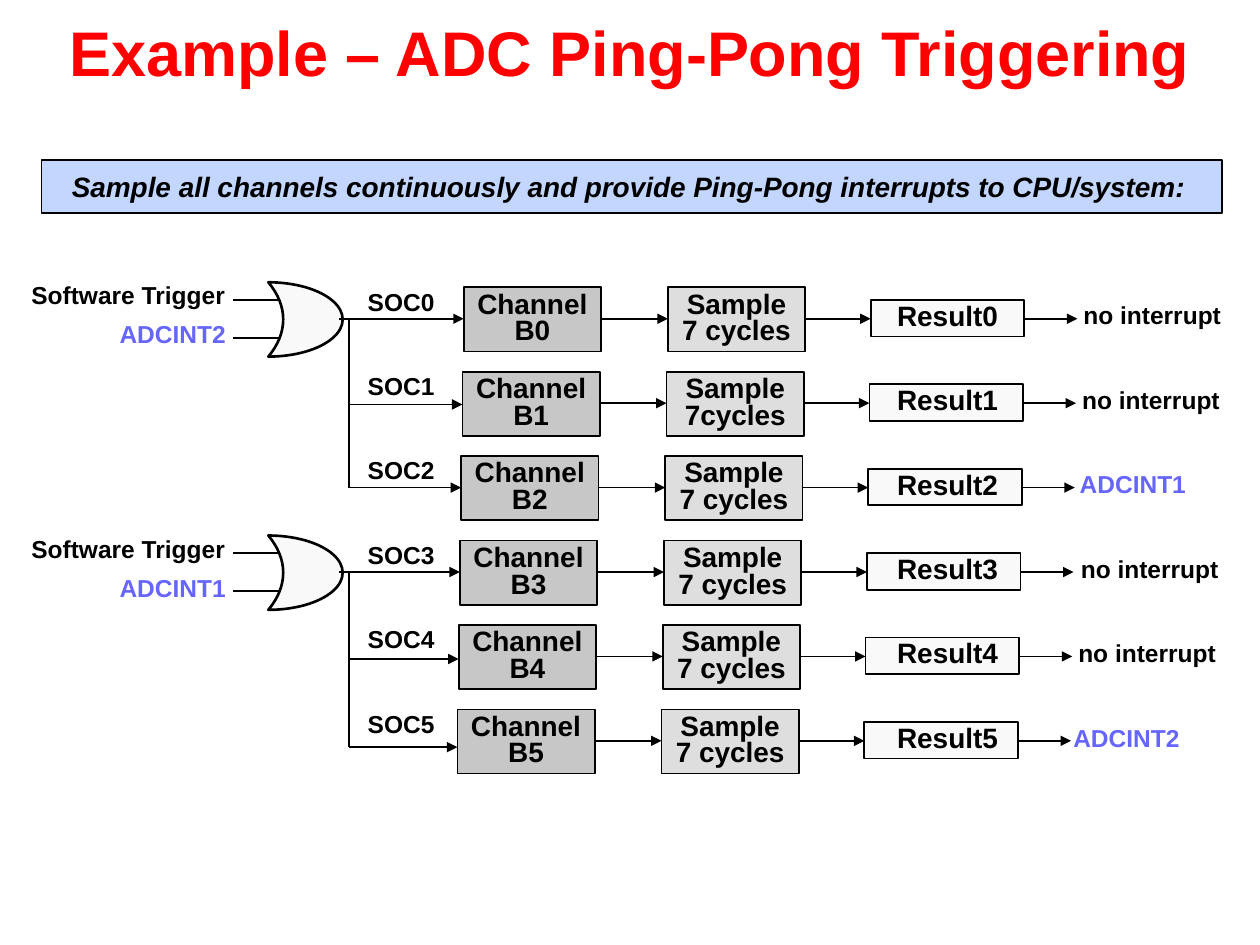
from lxml import etree
from pptx import Presentation
from pptx.dml.color import RGBColor
from pptx.enum.shapes import MSO_CONNECTOR, MSO_SHAPE
from pptx.enum.text import MSO_ANCHOR, MSO_AUTO_SIZE, PP_ALIGN
from pptx.oxml.ns import qn
from pptx.util import Inches, Pt

RED = RGBColor(0xFF, 0x00, 0x00)
BLACK = RGBColor(0x00, 0x00, 0x00)
VIOLET = RGBColor(0x66, 0x66, 0xFF)
BLUE = RGBColor(0xC2, 0xD6, 0xFF)
GRAY = RGBColor(0xC7, 0xC7, 0xC7)
SILVER = RGBColor(0xDE, 0xDE, 0xDE)
PALE = RGBColor(0xF9, 0xF9, 0xF9)
RECT, MOON = MSO_SHAPE.RECTANGLE, MSO_SHAPE.MOON
STRAIGHT = MSO_CONNECTOR.STRAIGHT
LEFT, CENTER = PP_ALIGN.LEFT, PP_ALIGN.CENTER
TOP, MIDDLE = MSO_ANCHOR.TOP, MSO_ANCHOR.MIDDLE
FIXED = MSO_AUTO_SIZE.NONE

FIRST = 2.53
STEP = 0.67
SHIFT = 0.01
ROWS = [
    ("7 cycles", "no interrupt", 8.5, 2.53),
    ("7cycles", "no interrupt", 8.49, 3.21),
    ("7 cycles", "ADCINT1", 8.47, 3.87),
    ("7 cycles", "no interrupt", 8.48, 4.54),
    ("7 cycles", "no interrupt", 8.46, 5.23),
    ("7 cycles", "ADCINT2", 8.42, 5.93),
]
GATES = [(2.53, 3.87, "ADCINT2"), (4.54, 5.93, "ADCINT1")]


class Deck:
    font = "Arial"

    def __init__(self, slide):
        self.slide = slide
        self.shapes = slide.shapes

    def text(self, shape, lines, size, color=BLACK, align=LEFT,
             anchor=TOP, space=0.8, italic=False):
        frame = shape.text_frame
        frame.auto_size = FIXED
        frame.word_wrap = False
        frame.vertical_anchor = anchor
        frame.text = "\n".join(lines)
        for para in frame.paragraphs:
            para.alignment = align
            para.line_spacing = space
            para.font.name = self.font
            para.font.size = Pt(size)
            para.font.bold = True
            para.font.italic = italic
            para.font.color.rgb = color

    def title(self, text):
        shape = self.shapes.title
        shape.left, shape.top = Inches(0), Inches(0)
        shape.width, shape.height = Inches(10), Inches(0.81)
        self.text(shape, [text], 36, RED, CENTER, MIDDLE, 1.0)

    def label(self, x, y, width, text, color=BLACK):
        shape = self.shapes.add_textbox(
            Inches(x), Inches(y), Inches(width), Inches(0.29))
        self.text(shape, [text], 14, color)

    def shape(self, kind, x, y, width, height, fill, weight=1):
        shape = self.shapes.add_shape(
            kind, Inches(x), Inches(y), Inches(width), Inches(height))
        shape.shadow.inherit = False
        shape.fill.solid()
        shape.fill.fore_color.rgb = fill
        shape.line.color.rgb = BLACK
        shape.line.width = Pt(weight)
        return shape

    def box(self, x, y, width, height, fill, lines, inset=0.0, **style):
        shape = self.shape(RECT, x, y, width, height, fill)
        frame = shape.text_frame
        frame.margin_left = Inches(inset)
        frame.margin_top = frame.margin_right = frame.margin_bottom = 0
        self.text(shape, lines, 16, anchor=MIDDLE, **style)

    def gate(self, x, y):
        shape = self.shape(MOON, x, y, 0.59, 0.59, PALE, 1.5)
        shape.adjustments[0] = 0.8
        shape.element.spPr.get_or_add_xfrm().set("flipH", "1")

    def line(self, x1, y1, x2, y2, arrow=False):
        link = self.shapes.add_connector(
            STRAIGHT, Inches(x1), Inches(y1), Inches(x2), Inches(y2))
        link.line.color.rgb = BLACK
        link.line.width = Pt(1)
        props = link.element.spPr
        if arrow:
            etree.SubElement(props.find(qn("a:ln")), qn("a:tailEnd"),
                             type="triangle")
        etree.SubElement(props, qn("a:effectLst"))


def main():
    prs = Presentation()
    prs.slide_width, prs.slide_height = Inches(10), Inches(7.5)
    deck = Deck(prs.slides.add_slide(prs.slide_layouts[5]))
    deck.title("Example – ADC Ping-Pong Triggering")
    deck.box(0.33, 1.27, 9.37, 0.42, BLUE,
             ["Sample all channels continuously and provide "
              "Ping-Pong interrupts to CPU/system:"],
             inset=0.24, italic=True, space=1.0)

    for y, end, source in GATES:
        deck.gate(2.13, y - 0.29)
        deck.label(0.15, y - 0.31, 1.75, "Software Trigger")
        deck.label(0.85, y, 1.05, source, VIOLET)
        for offset in (-0.15, 0.15):
            deck.line(2.22, y + offset, 1.85, y + offset)
        deck.line(2.77, end, 2.77, y)

    starts = [gate[0] for gate in GATES]
    for i, (cycles, result, out, feed) in enumerate(ROWS):
        y = FIRST + STEP * i
        dx = -SHIFT * i
        deck.line(2.69 if feed in starts else 2.77, feed,
                  3.68 + dx, feed, True)
        deck.label(2.82, y - 0.26, 0.74, f"SOC{i}")
        deck.box(3.68 + dx, y - 0.25, 1.09, 0.51, GRAY,
                 ["Channel", f"B{i}"], align=CENTER)
        deck.line(4.77 + dx, y, 5.3 + dx, y, True)
        deck.box(5.3 + dx, y - 0.25, 1.09, 0.51, SILVER,
                 ["Sample", cycles], align=CENTER)
        deck.line(6.39 + dx, y, 6.91 + dx, y, True)
        deck.box(6.91 + dx, y - 0.15, 1.22, 0.29, PALE,
                 [f"Result{i}"], inset=0.21 - dx)
        deck.line(8.13 + dx, y, 8.55 + dx, y, True)
        color = VIOLET if result.startswith("ADC") else BLACK
        deck.label(out, y - 0.15, 1.3, result, color)

    prs.save("out.pptx")


if __name__ == "__main__":
    main()
